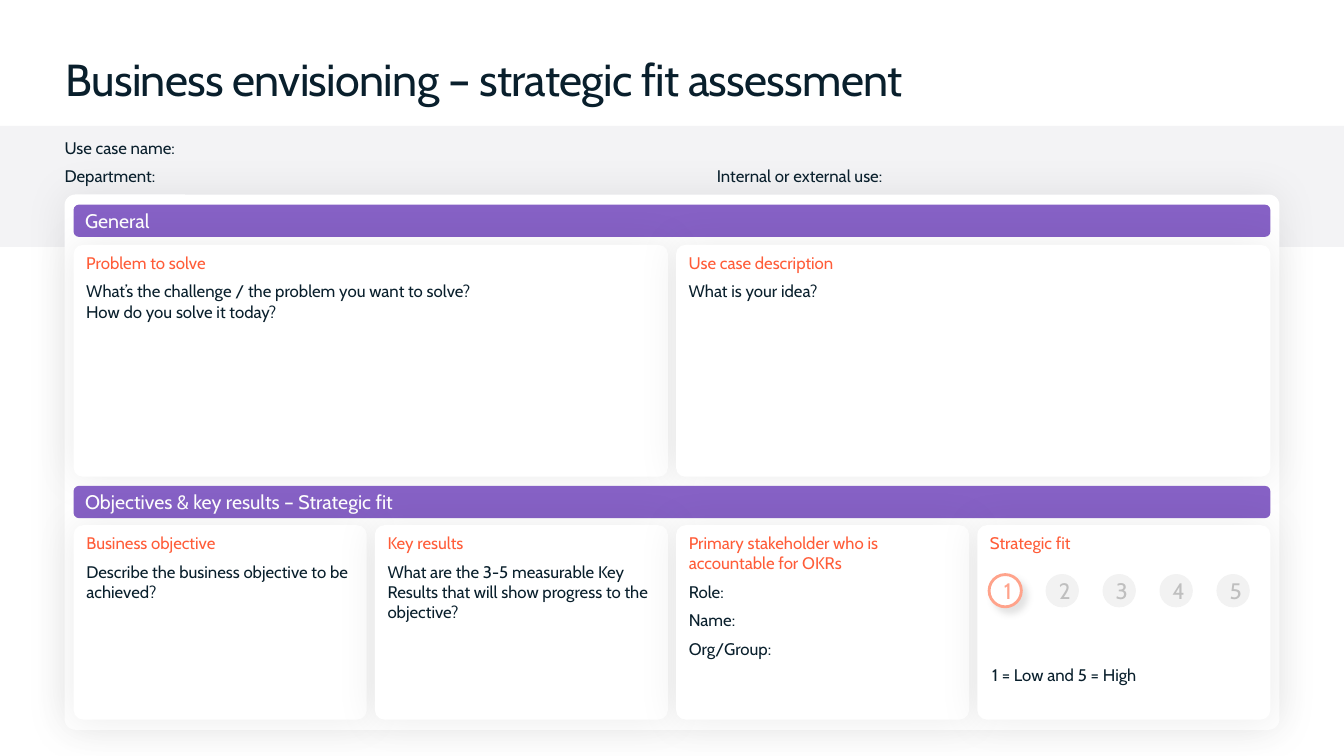
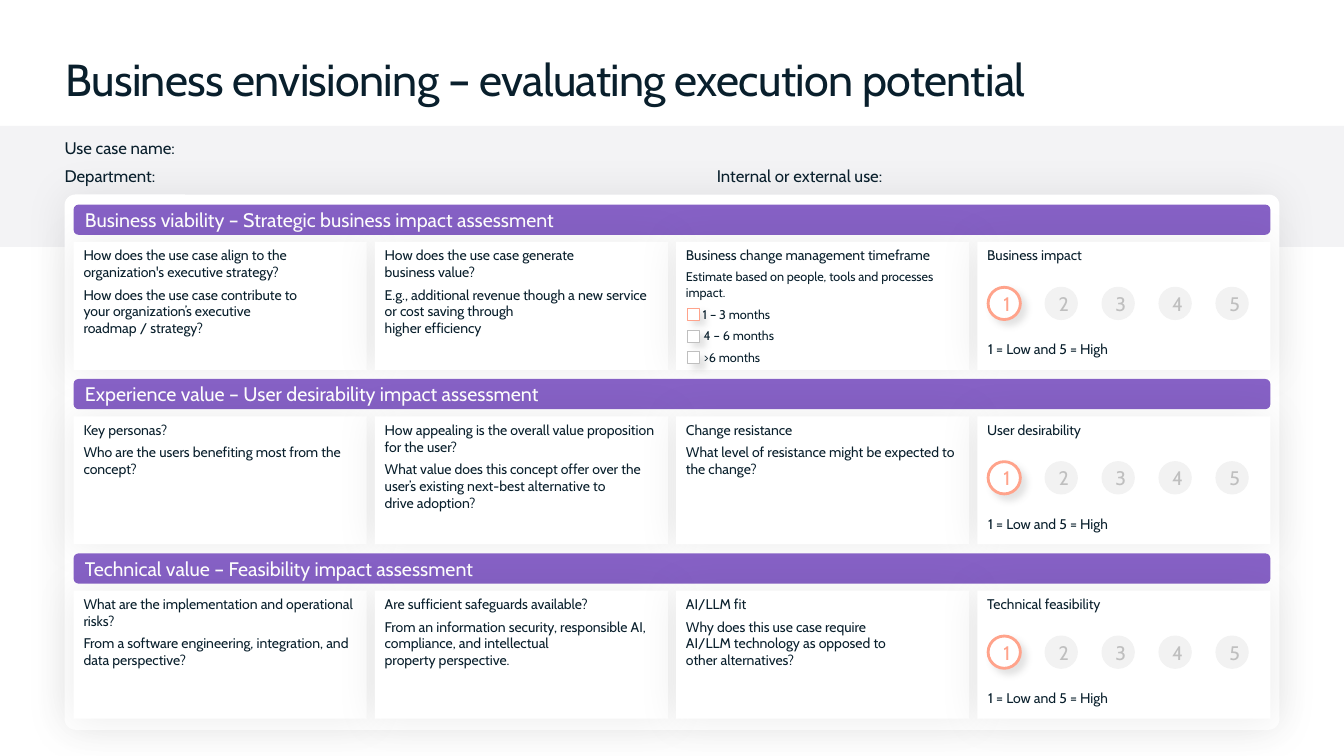
from lxml.etree import SubElement
from pptx import Presentation
from pptx.dml.color import RGBColor
from pptx.enum.shapes import MSO_SHAPE as Preset
from pptx.enum.text import MSO_ANCHOR as Anchor, PP_ALIGN as Align
from pptx.oxml.ns import qn
from pptx.util import Inches, Pt

FONT = "Cabin"
INK, WHITE, BAND = "091F2C", "FFFFFF", "F3F3F5"
PURPLE, ORANGE, SALMON = "8661C5", "FF5C38", "FFA38B"
DISC, DIGIT, BOX_EDGE = "F2F2F2", "BFBFBF", "BFBFBF"

SOFT_SHADOW = ("000000", 7, 30, 0, 0)
DROP_SHADOW = ("737373", 20, 5, 5, 45)

LEFT, WIDTH, GAP = 0.73, 11.87, 0.08
FIRST_ROW = 2.03
LEGEND = "1 = Low and 5 = High"

GENERAL = [
    ["Problem to solve",
     "What’s the challenge / the problem you want to solve?\nHow do you solve it today?"],
    ["Use case description", "What is your idea?"],
]
OBJECTIVES = [
    ["Business objective", "Describe the business objective to be achieved?"],
    ["Key results",
     "What are the 3-5 measurable Key Results that will show progress to the objective?"],
    ["Primary stakeholder who is accountable for OKRs", "Role:", "Name:", "Org/Group:"],
    ["Strategic fit"],
]
ASSESSMENTS = [
    ("Business viability – Strategic business impact assessment", [
        ["How does the use case align to the organization's executive strategy?",
         "How does the use case contribute to\nyour organization’s executive\nroadmap / strategy?"],
        ["How does the use case generate\nbusiness value?",
         "E.g., additional revenue though a new service or cost saving through\nhigher efficiency"],
        ["Business change management timeframe",
         "Estimate based on people, tools and processes impact."],
        ["Business impact"],
    ]),
    ("Experience value – User desirability impact assessment", [
        ["Key personas?", "Who are the users benefiting most from the concept?"],
        ["How appealing is the overall value proposition for the user?",
         "What value does this concept offer over the user’s existing next-best alternative to\n"
         "drive adoption?"],
        ["Change resistance", "What level of resistance might be expected to the change?"],
        ["User desirability"],
    ]),
    ("Technical value – Feasibility impact assessment", [
        ["What are the implementation and operational risks?",
         "From a software engineering, integration, and data perspective?"],
        ["Are sufficient safeguards available?",
         "From an information security, responsible AI, compliance, and intellectual\n"
         "property perspective."],
        ["AI/LLM fit",
         "Why does this use case require\nAI/LLM technology as opposed to\nother alternatives?"],
        ["Technical feasibility"],
    ]),
]
TIMEFRAMES = ["1 – 3 months", "4 – 6 months", ">6 months"]


def rgb(value):
    """Turn a hex string into a colour."""
    return RGBColor.from_string(value)


def set_insets(frame, left, top, right, bottom):
    """Set the four inner margins of a text frame in inches."""
    frame.margin_left, frame.margin_top = Inches(left), Inches(top)
    frame.margin_right, frame.margin_bottom = Inches(right), Inches(bottom)


def format_paragraph(paragraph, size, colour, align=Align.LEFT):
    """Give a paragraph and all its runs one look."""
    paragraph.alignment = align
    for run in paragraph.runs:
        run.font.name = FONT
        run.font.size = Pt(size)
        run.font.color.rgb = rgb(colour)


def write_paragraphs(frame, texts, size, colours, gap=0):
    """Fill a frame with paragraphs, the last colour serving the rest."""
    for i, text in enumerate(texts):
        paragraph = frame.add_paragraph() if i else frame.paragraphs[0]
        paragraph.text = text
        if i:
            paragraph.space_before = Pt(gap)
        format_paragraph(paragraph, size, colours[min(i, len(colours) - 1)])


def add_shadow(shape, colour, opacity, blur, distance, angle):
    """Add an outer shadow given in percent, points and degrees."""
    effects = shape._element.spPr.find(qn("a:effectLst"))
    outer = SubElement(effects, qn("a:outerShdw"), blurRad=str(Pt(blur)),
                       dist=str(Pt(distance)), dir=str(angle * 60000),
                       algn="ctr", rotWithShape="0")
    tint = SubElement(outer, qn("a:srgbClr"), val=colour)
    SubElement(tint, qn("a:alpha"), val=str(opacity * 1000))


def add_panel(slide, preset, x, y, width, height, fill, line=None, weight=0.75,
              shadow=None, corner=None):
    """Add a filled shape with optional outline, shadow and corner radius."""
    panel = slide.shapes.add_shape(preset, Inches(x), Inches(y), Inches(width), Inches(height))
    panel.shadow.inherit = False
    panel.fill.solid()
    panel.fill.fore_color.rgb = rgb(fill)
    if line:
        panel.line.color.rgb = rgb(line)
        panel.line.width = Pt(weight)
    else:
        panel.line.fill.background()
    if shadow:
        add_shadow(panel, *shadow)
    if corner is not None:
        panel.adjustments[0] = corner
    return panel


def add_label(slide, text, x, y, width, height, size):
    """Add a line of plain text without insets."""
    frame = slide.shapes.add_textbox(
        Inches(x), Inches(y), Inches(width), Inches(height)).text_frame
    frame.word_wrap = True
    frame.vertical_anchor = Anchor.MIDDLE
    set_insets(frame, 0, 0, 0, 0)
    write_paragraphs(frame, [text], size, [INK])


def add_heading(slide, text, y, height):
    """Add a purple section bar across the canvas."""
    bar = add_panel(slide, Preset.ROUNDED_RECTANGLE, LEFT, y, WIDTH, height, PURPLE)
    frame = bar.text_frame
    frame.vertical_anchor = Anchor.MIDDLE
    set_insets(frame, 0.1, 0.04, 0.1, 0.04)
    write_paragraphs(frame, [text], 14, [WHITE])


def add_cards(slide, cards, y, height, size, colours, gap, corner=None):
    """Add a row of equally wide cards and return their text frames."""
    width = (WIDTH - GAP * (len(cards) - 1)) / len(cards)
    preset = Preset.RECTANGLE if corner is None else Preset.ROUNDED_RECTANGLE
    frames = []
    for column, texts in enumerate(cards):
        card = add_panel(slide, preset, LEFT + column * (width + GAP), y, width, height,
                         WHITE, shadow=SOFT_SHADOW, corner=corner)
        card.text_frame.vertical_anchor = Anchor.TOP
        write_paragraphs(card.text_frame, texts, size, colours, gap)
        frames.append(card.text_frame)
    return frames


def add_rating(slide, x, y, size):
    """Add the scale from 1 to 5 with the first score marked."""
    step = 2.26 / 4
    for score in range(1, 6):
        marked = score == 1
        disc = add_panel(slide, Preset.OVAL, x + (score - 1) * step, y, 0.32, 0.32,
                         WHITE if marked else DISC, SALMON if marked else DISC,
                         2 if marked else 0.75, DROP_SHADOW if marked else None)
        frame = disc.text_frame
        frame.word_wrap = False
        frame.vertical_anchor = Anchor.MIDDLE
        set_insets(frame, 0.05, 0, 0, 0)
        frame.text = str(score)
        format_paragraph(frame.paragraphs[0], size, SALMON if marked else DIGIT, Align.CENTER)


def add_timeframes(slide):
    """Add the check boxes for the change timeframe."""
    for i, text in enumerate(TIMEFRAMES):
        y = 3.06 + i * 0.43 / 2
        add_panel(slide, Preset.RECTANGLE, 6.82, y, 0.12, 0.12, WHITE,
                  BOX_EDGE if i else SALMON, shadow=DROP_SHADOW)
        add_label(slide, text, 6.98 if i else 6.97, y - 0.02, 1, 0.15, 9)


def add_canvas(deck, title):
    """Add a slide with title, grey band, white sheet and use case fields."""
    slide = deck.slides.add_slide(deck.slide_layouts[5])
    heading = slide.shapes.title
    heading.left, heading.top = Inches(0.65), Inches(0.46)
    heading.width, heading.height = Inches(12.04), Inches(0.64)
    frame = heading.text_frame
    frame.text = title
    frame.vertical_anchor = Anchor.MIDDLE
    set_insets(frame, 0, 0.05, 0.1, 0.05)
    format_paragraph(frame.paragraphs[0], 32, INK)
    frame.paragraphs[0].runs[0].font._element.set("spc", "-50")
    add_panel(slide, Preset.RECTANGLE, 0, 1.25, 13.33, 1.2, BAND)
    add_panel(slide, Preset.ROUNDED_RECTANGLE, 0.64, 1.93, 12.05, 5.31, WHITE,
              shadow=SOFT_SHADOW, corner=0.02)
    add_label(slide, "Use case name:", 0.64, 1.37, 9.47, 0.2, 12)
    add_label(slide, "Department:", 0.64, 1.62, 5.6, 0.24, 12)
    add_label(slide, "Internal or external use:", 7.11, 1.62, 5.6, 0.24, 12)
    return slide


def add_strategic_fit(deck):
    """Build the strategic fit slide."""
    slide = add_canvas(deck, "Business envisioning – strategic fit assessment")
    add_heading(slide, "General", FIRST_ROW, 0.32)
    add_cards(slide, GENERAL, 2.43, 2.3, 12, [ORANGE, INK], 6, 0.04)
    add_heading(slide, "Objectives & key results – Strategic fit", 4.82, 0.32)
    add_cards(slide, OBJECTIVES, 5.21, 1.93, 12, [ORANGE, INK], 6, 0.05)
    add_rating(slide, 9.81, 5.7, 16)
    add_label(slide, LEGEND, 9.84, 6.59, 2.64, 0.2, 12)


def add_execution_potential(deck):
    """Build the execution potential slide."""
    slide = add_canvas(deck, "Business envisioning – evaluating execution potential")
    card_rows = []
    for row, (heading, cards) in enumerate(ASSESSMENTS):
        y = FIRST_ROW + row * 3.46 / 2
        add_heading(slide, heading, y, 0.3)
        card_rows.append(add_cards(slide, cards, y + 0.37, 1.27, 10, [INK], 4))
        add_rating(slide, 9.8, y + 0.82, 14)
        add_label(slide, LEGEND, 9.8, y + 1.35, 2.34, 0.17, 10)
    timeframe_card = card_rows[0][2]
    format_paragraph(timeframe_card.paragraphs[1], 9, INK)
    add_timeframes(slide)


def main():
    """Build and save the deck."""
    deck = Presentation()
    deck.slide_width, deck.slide_height = Inches(13.33), Inches(7.5)
    add_strategic_fit(deck)
    add_execution_potential(deck)
    deck.save("out.pptx")


if __name__ == "__main__":
    main()
